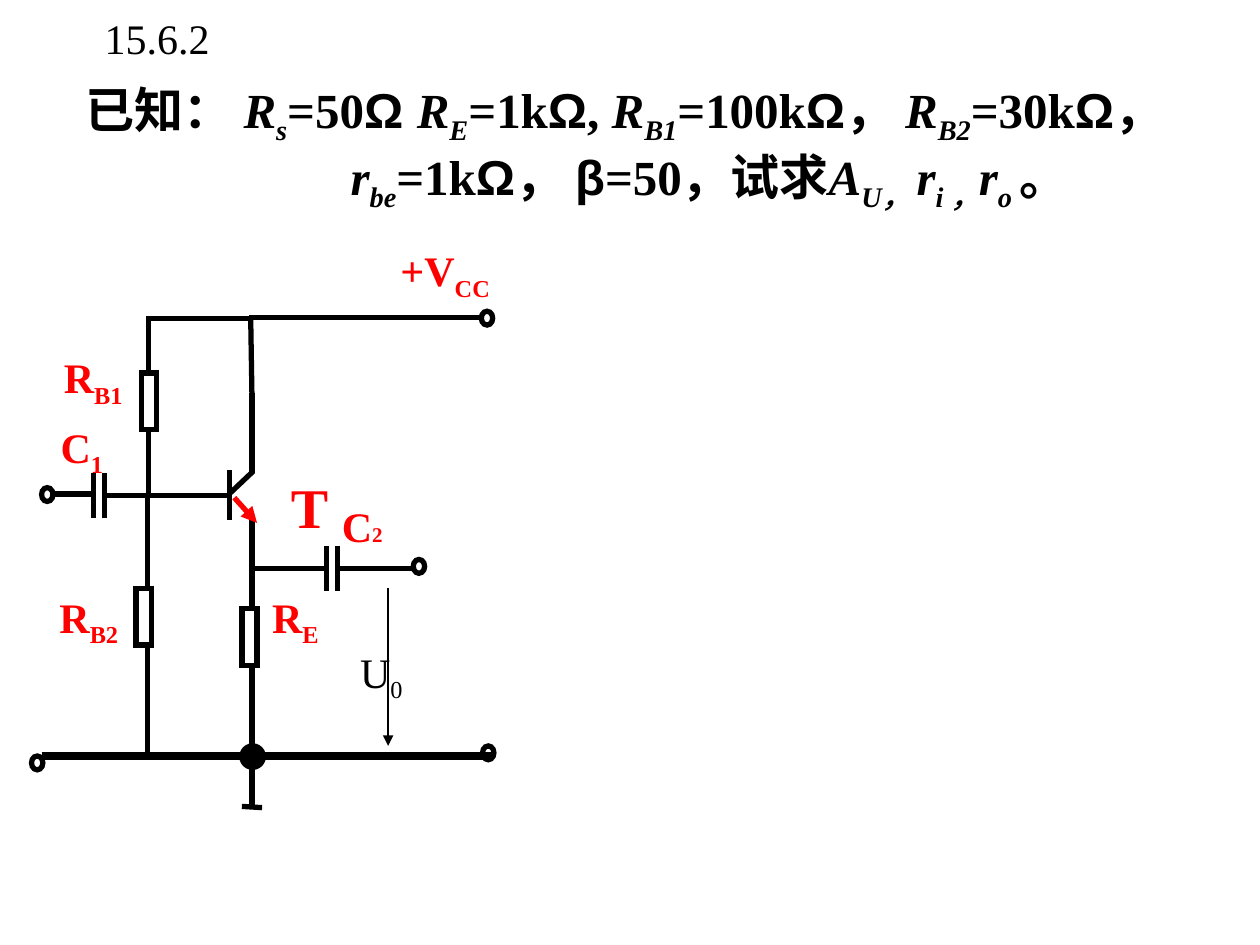
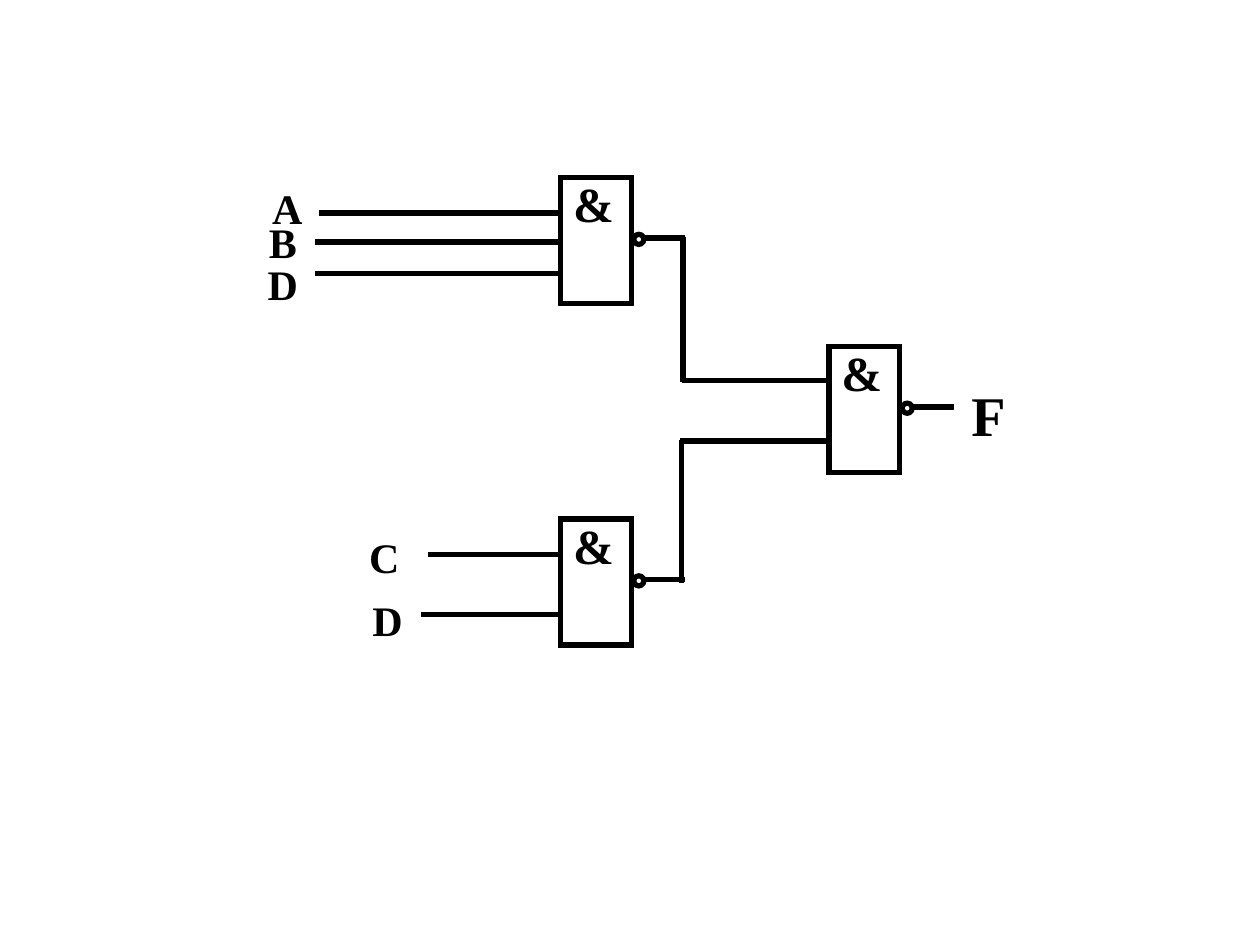
from dataclasses import dataclass

from lxml.etree import SubElement
from pptx import Presentation
from pptx.dml.color import RGBColor
from pptx.enum.shapes import MSO_CONNECTOR, MSO_SHAPE
from pptx.enum.text import MSO_ANCHOR, MSO_AUTO_SIZE, PP_ALIGN
from pptx.oxml.ns import qn
from pptx.util import Inches, Pt


@dataclass(frozen=True)
class Theme:
    black: RGBColor = RGBColor(0, 0, 0)
    red: RGBColor = RGBColor(255, 0, 0)
    white: RGBColor = RGBColor(255, 255, 255)
    font: str = "Times New Roman"
    symbol_font: str = "Arial"
    small: int = 12
    label: int = 24
    body: int = 28
    large: int = 32
    wire: float = 3
    ground: float = 4.5
    thin: float = 0.75


THEME = Theme()


def add_span(para, text, size=THEME.label, color=THEME.black, bold=True,
             italic=False, sub=False, font=THEME.font):
    span = para.add_run()
    span.text = text
    span.font.name = font
    span.font.size = Pt(size)
    span.font.bold = bold
    span.font.italic = italic
    span.font.color.rgb = color
    if sub:
        span.font._element.set("baseline", "-25000")
    return span


class Sketch:
    """Holds the deck, its style and the current page."""

    def __init__(self, theme):
        self.theme = theme
        self.deck = Presentation()
        self.deck.slide_width, self.deck.slide_height = Inches(10), Inches(7.5)
        self.page = None

    def new_page(self, layout):
        layouts = self.deck.slide_layouts
        self.page = self.deck.slides.add_slide(layouts.get_by_name(layout))

    def set_frame(self, box, align, anchor, wrap):
        frame = box.text_frame
        frame.word_wrap = wrap
        frame.auto_size = MSO_AUTO_SIZE.SHAPE_TO_FIT_TEXT
        frame.vertical_anchor = anchor
        frame.margin_left = frame.margin_right = Inches(0.1)
        frame.margin_top = frame.margin_bottom = Inches(0.05)
        para = frame.paragraphs[0]
        para.alignment = align
        para.space_before = Pt(0)
        return para

    def title(self, text, left, top, width, height):
        box = self.page.shapes.title
        box.left, box.top = Inches(left), Inches(top)
        box.width, box.height = Inches(width), Inches(height)
        para = self.set_frame(box, PP_ALIGN.LEFT, MSO_ANCHOR.TOP, True)
        add_span(para, text, bold=False)

    def text(self, left, top, width, height, align=PP_ALIGN.CENTER,
             anchor=MSO_ANCHOR.MIDDLE, wrap=True):
        box = self.page.shapes.add_textbox(
            Inches(left), Inches(top), Inches(width), Inches(height))
        return self.set_frame(box, align, anchor, wrap)

    def label(self, main, left, top, width, height, sub="", sub_size=None,
              size=THEME.label, color=THEME.black, bold=True, **frame):
        para = self.text(left, top, width, height, **frame)
        add_span(para, main, size, color, bold)
        if sub:
            add_span(para, sub, sub_size or size, color, bold, sub=not sub_size)

    def line(self, x1, y1, x2, y2, color=THEME.black, width=THEME.wire, arrow=False):
        wire = self.page.shapes.add_connector(
            MSO_CONNECTOR.STRAIGHT, Inches(x1), Inches(y1), Inches(x2), Inches(y2))
        wire.line.color.rgb = color
        wire.line.width = Pt(width)
        if arrow:
            SubElement(wire.line._get_or_add_ln(), qn("a:tailEnd"), type="triangle")
        SubElement(wire._element.spPr, qn("a:effectLst"))

    def shape(self, kind, left, top, width, height, fill=None):
        outline = self.page.shapes.add_shape(
            kind, Inches(left), Inches(top), Inches(width), Inches(height))
        outline.shadow.inherit = False
        if fill is None:
            outline.fill.background()
        else:
            outline.fill.solid()
            outline.fill.fore_color.rgb = fill
        outline.line.color.rgb = self.theme.black
        outline.line.width = Pt(self.theme.wire)
        # Square corners
        SubElement(outline.line._get_or_add_ln(), qn("a:miter"), lim="800000")

    def gate(self, left, top, inputs):
        """NAND gate; inputs are (start x, drop below the gate's top)."""
        self.shape(MSO_SHAPE.RECTANGLE, left, top, 0.56, 1)
        self.label("&", left, top - 0.08, 0.67, 0.57, size=self.theme.body,
                   align=PP_ALIGN.LEFT, anchor=MSO_ANCHOR.TOP)
        self.shape(MSO_SHAPE.OVAL, left + 0.58, top + 0.45, 0.08, 0.08)
        self.line(left + 0.66, top + 0.48, left + 0.99, top + 0.48)
        for start, drop in inputs:
            self.line(start, top + drop, left, top + drop)


def build_amplifier(sketch):
    theme = sketch.theme
    sketch.new_page("Title Only")
    sketch.title("15.6.2", 0.73, 0.05, 1.5, 0.5)

    # Problem statement
    para = sketch.text(0.33, 0.58, 9.25, 1.16)
    properties = para._p.get_or_add_pPr()
    properties.set("marL", str(Inches(1.35)))
    properties.set("indent", str(Inches(-1.35)))
    plain, variable = {}, {"italic": True}
    index = {"italic": True, "sub": True}
    symbol = {"font": theme.symbol_font}
    statement = [
        ("已知： ", plain), ("R", variable), ("s", index), ("=50", plain), ("Ω ", symbol),
        ("R", variable), ("E", index), ("=1k", plain), ("Ω", symbol), (", ", plain),
        ("R", variable), ("B1", index), ("=100k", plain), ("Ω", symbol), ("， ", plain),
        ("R", variable), ("B2", index), ("=30k", plain), ("Ω", symbol), ("， ", plain),
        ("r", variable), ("be", index), ("=1k", plain), ("Ω", symbol), ("， ", plain),
        ("β", symbol), ("=50，试求", plain), ("A", variable), ("U， ", index),
        ("r", variable), ("i ，", index), ("r", variable), ("o ", index), ("。", plain),
    ]
    for text, style in statement:
        add_span(para, text, size=theme.body, **style)

    # Wires
    wires = [
        (1.18, 2.53, 1.99, 2.53), (1.98, 2.52, 3.84, 2.52),  # supply
        (1.18, 2.51, 1.18, 2.94), (1.18, 3.3, 1.18, 3.94), (1.17, 3.92, 1.17, 6),  # divider
        (0.43, 3.92, 0.73, 3.92), (0.82, 3.93, 1.84, 3.93),  # input
        (1.99, 2.53, 2, 3.17), (2, 3.12, 2, 3.75),  # collector
        (1.82, 3.73, 1.82, 4.13), (1.82, 3.92, 2.01, 3.74),  # transistor
        (2, 4.12, 2, 4.84), (2, 5.25, 2, 6.04),  # emitter
        (2, 4.51, 2.6, 4.51), (2.69, 4.51, 3.29, 4.51),  # output
        (2, 6.08, 2, 6.42), (1.92, 6.4, 2.08, 6.41),  # earth
    ]
    for ends in wires:
        sketch.line(*ends)
    sketch.line(0.33, 6, 3.91, 6, width=theme.ground)
    sketch.line(1.86, 3.95, 2.04, 4.15, color=theme.red, arrow=True)
    sketch.line(3.08, 4.67, 3.08, 5.92, width=theme.thin, arrow=True)

    # Capacitor plates
    for left, top in [(0.74, 3.75), (2.59, 4.33)]:
        for plate in (left, left + 0.09):
            sketch.line(plate, top, plate, top + 0.36)

    # Resistors, terminals and ground node
    for left, top in [(1.12, 2.96), (1.08, 4.67), (1.92, 4.83)]:
        sketch.shape(MSO_SHAPE.RECTANGLE, left, top, 0.12, 0.45, fill=theme.white)
    for left, top in [(0.25, 6), (0.33, 3.87), (3.82, 2.47), (3.28, 4.44), (3.83, 5.92)]:
        sketch.shape(MSO_SHAPE.OVAL, left, top, 0.09, 0.11)
    sketch.shape(MSO_SHAPE.OVAL, 1.92, 5.92, 0.17, 0.17, fill=theme.black)

    # Labels
    sketch.label("+V", 3.08, 1.89, 1.08, 0.56, sub="CC", color=theme.red, align=PP_ALIGN.LEFT)
    for main, sub, left, top, width in [
        ("R", "B1", 0.33, 2.74, 0.82), ("C", "1", 0.37, 3.29, 0.56),
        ("R", "B2", 0.33, 4.64, 0.75), ("R", "E", 2, 4.64, 0.69),
    ]:
        sketch.label(main, left, top, width, 0.56, sub=sub, color=theme.red)
    sketch.label("C", 2.5, 3.92, 0.75, 0.5, sub="2", sub_size=theme.small, color=theme.red)
    sketch.label("T", 2.21, 3.7, 0.27, 0.64, size=theme.large, color=theme.red)
    sketch.label("U", 2.76, 5.08, 0.54, 0.56, sub="0", bold=False,
                 align=PP_ALIGN.LEFT, anchor=MSO_ANCHOR.TOP, wrap=False)


def build_logic(sketch):
    sketch.new_page("Blank")

    # Gates with their input wires
    sketch.gate(4.45, 1.41, [(2.53, 0.28), (2.5, 0.51), (2.5, 0.76)])
    sketch.gate(4.45, 4.12, [(3.4, 0.28), (3.34, 0.76)])
    sketch.gate(6.58, 2.75, [(5.41, 0.27), (5.4, 0.75)])

    # Links between the gates
    sketch.line(5.42, 1.88, 5.42, 3.03)
    sketch.line(5.41, 3.49, 5.41, 4.63)

    # Signal names
    for name, left, top, width in [
        ("A", 2.06, 1.4, 0.44), ("B", 2, 1.67, 0.49), ("D", 2, 2, 0.49),
        ("C", 2.83, 4.17, 0.44), ("D", 2.83, 4.67, 0.49),
    ]:
        sketch.label(name, left, top, width, 0.5)
    sketch.label("F", 7.61, 2.97, 0.47, 0.64, size=sketch.theme.large, wrap=False)


def main():
    sketch = Sketch(THEME)
    build_amplifier(sketch)
    build_logic(sketch)
    sketch.deck.save("out.pptx")


if __name__ == "__main__":
    main()
